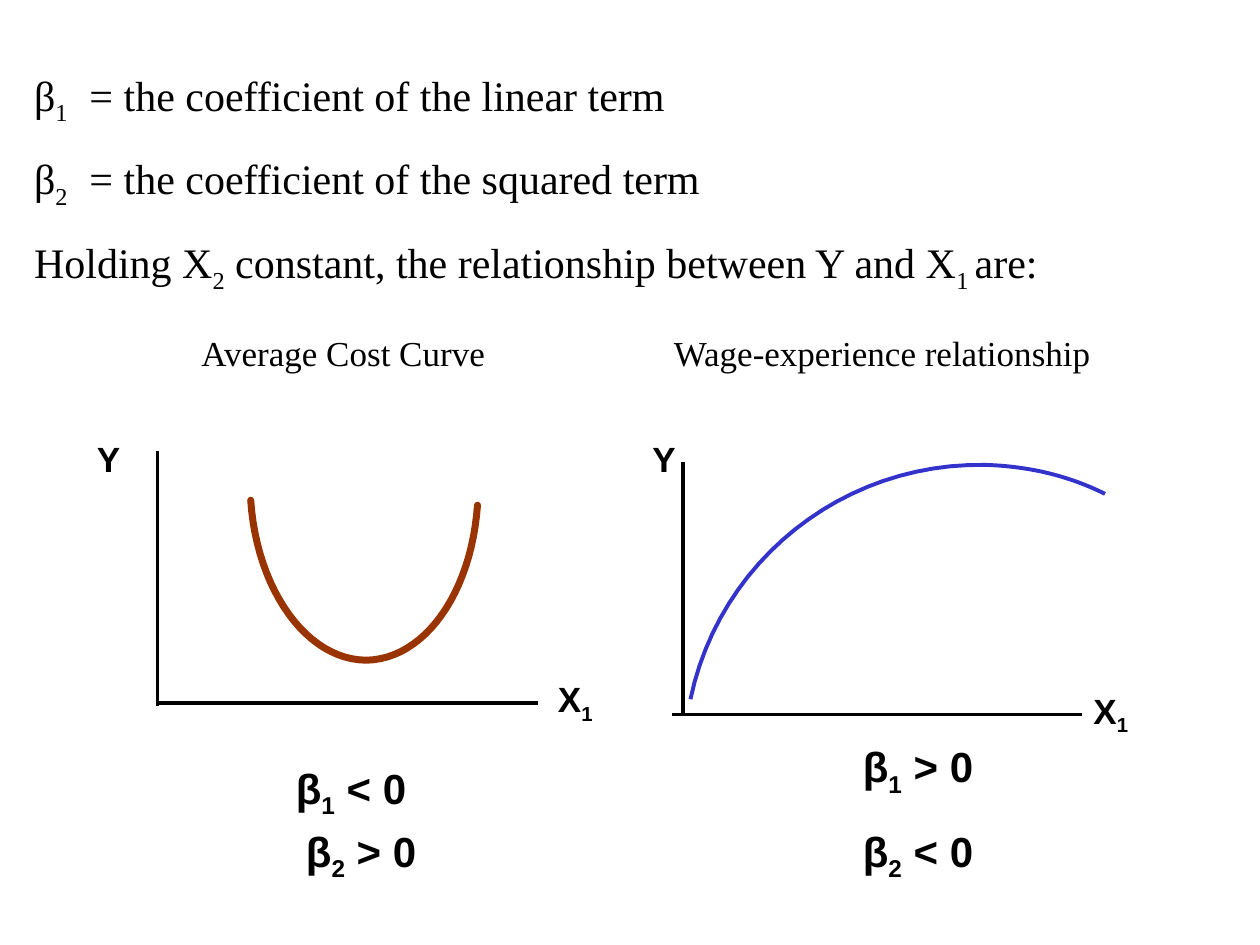
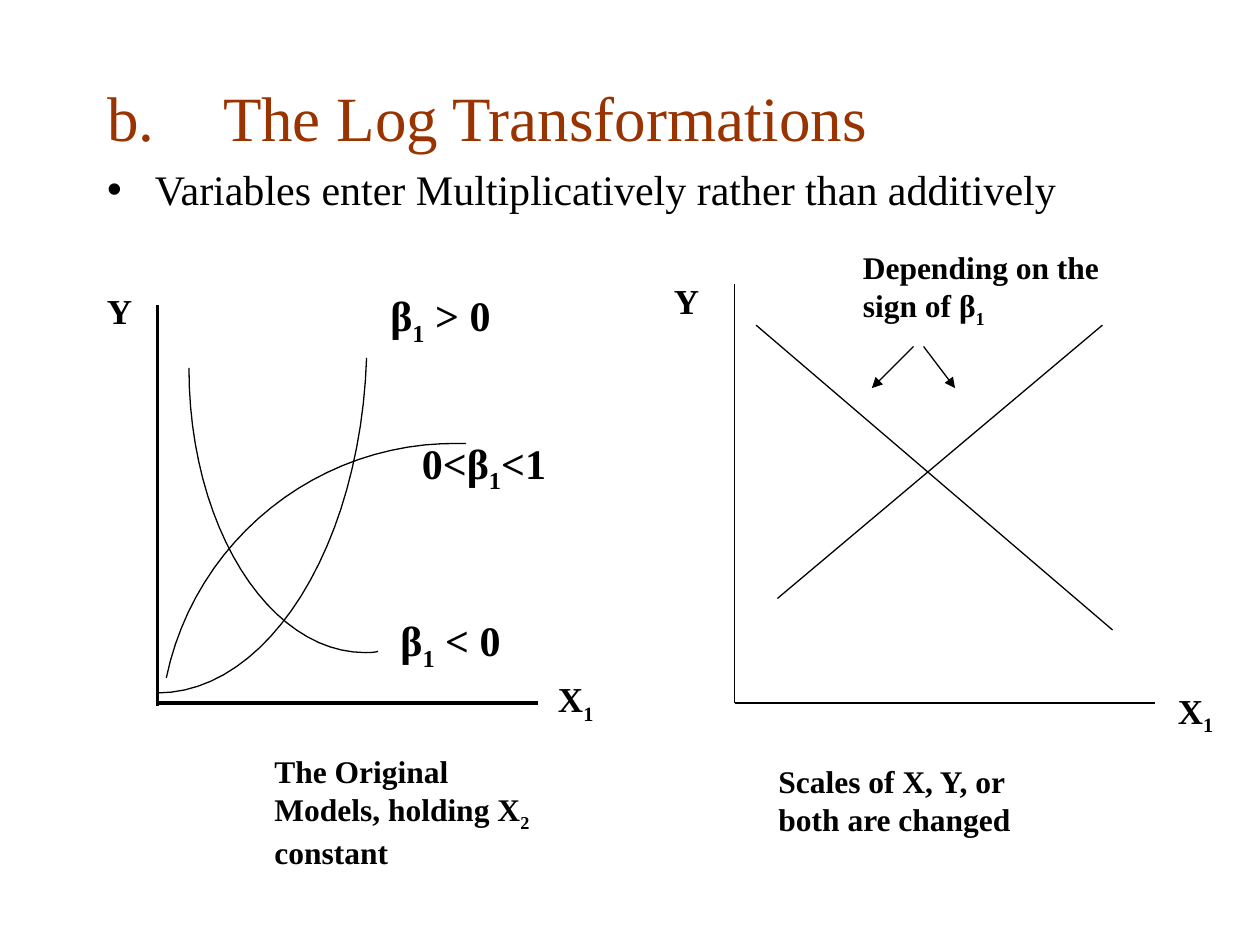
from lxml.etree import SubElement
from pptx import Presentation
from pptx.dml.color import RGBColor
from pptx.enum.shapes import MSO_CONNECTOR
from pptx.enum.text import MSO_ANCHOR, MSO_AUTO_SIZE, PP_ALIGN
from pptx.oxml.ns import qn
from pptx.util import Inches, Pt

BLACK = RGBColor(0x00, 0x00, 0x00)
RUST = RGBColor(0x99, 0x33, 0x00)
BLUE = RGBColor(0x33, 0x33, 0xCC)
SERIF, SANS = "Times New Roman", "Arial"
THIN, AXIS = 0.75, 2
CURVE_STEPS = 24

# Text between tildes is subscript.
# Labels: text, (left, top, width, height), size
# Lines: start, end, width. Curves: start, Bezier segments, colour, width.
QUADRATIC = {
    "body": ["β~1~\t= the coefficient of the linear term",
             "β~2~\t= the coefficient of the squared term",
             "Holding X~2~ constant, the relationship between Y and X~1 ~are:"],
    "headings": [("Average Cost Curve", (1.5, 2.58, 3.08, 0.44), 20),
                 ("Wage-experience relationship", (5.25, 2.58, 4.17, 0.44), 20)],
    "labels": [("Y", (0.67, 3.42, 0.41, 0.43), 20),
               ("X~1~", (4.33, 5.33, 0.5, 0.48), 20),
               ("β~1~ < 0", (2.25, 6, 1.17, 0.55), 24),
               ("β~2~ > 0", (2.33, 6.5, 1.17, 0.55), 24),
               ("Y", (5.08, 3.42, 0.41, 0.43), 20),
               ("X~1~", (8.58, 5.42, 0.58, 0.48), 20),
               ("β~1~ > 0", (6.75, 5.83, 1.5, 0.55), 24),
               ("β~2~ < 0", (6.75, 6.5, 1.5, 0.55), 24)],
    "lines": [((1.25, 3.58), (1.25, 5.6), AXIS),
              ((1.25, 5.58), (4.27, 5.58), AXIS),
              ((5.42, 3.67), (5.42, 5.67), AXIS),
              ((5.33, 5.67), (8.59, 5.67), AXIS)],
    "curves": [((3.79, 4.01), [((3.74, 4.71), (3.37, 5.23), (2.91, 5.24)),
                               ((2.44, 5.24), (2.04, 4.69), (1.99, 3.97))], RUST, 4),
               ((8.77, 3.92), [((8.47, 3.77), (8.15, 3.7), (7.82, 3.69)),
                               ((6.69, 3.67), (5.71, 4.45), (5.48, 5.55))], BLUE, 2.25)],
}

LOG = {
    "title": "b.\tThe Log Transformations",
    "body": ["Variables enter Multiplicatively rather than additively"],
    "labels": [("Y", (0.75, 2.25, 0.41, 0.43), 20),
               ("X~1~", (4.33, 5.33, 0.5, 0.48), 20),
               ("β~1~ > 0", (3, 2.25, 1.17, 0.55), 24),
               ("0<β~1~<1", (3.25, 3.42, 1.67, 0.55), 24),
               ("β~1~ < 0", (3.08, 4.83, 1.17, 0.55), 24),
               ("The Original Models, holding X~2~ constant", (2.08, 5.92, 2.33, 1.04), 18),
               ("Y", (5.25, 2.17, 0.41, 0.43), 20),
               ("X~1~", (9.25, 5.42, 0.5, 0.48), 20),
               ("Depending on the sign of β~1~", (6.75, 1.92, 2.17, 0.82), 18),
               ("Scales of X, Y, or both are changed", (6.08, 6, 2.33, 0.7), 18)],
    "lines": [((1.25, 2.42), (1.25, 5.6), AXIS),
              ((1.25, 5.58), (4.27, 5.58), AXIS),
              ((5.83, 2.25), (5.83, 5.58), THIN),
              ((5.83, 5.58), (9.17, 5.58), THIN),
              ((6, 2.58), (8.83, 5), THIN),
              ((6.17, 4.75), (8.75, 2.58), THIN)],
    "arrows": [((7.25, 2.75), (6.92, 3.08), THIN),
               ((7.33, 2.75), (7.58, 3.08), THIN)],
    "curves": [((3.7, 3.52), [((3.68, 3.52), (3.67, 3.52), (3.65, 3.52)),
                              ((2.53, 3.5), (1.55, 4.28), (1.32, 5.38))], BLACK, THIN),
               ((1.25, 5.5), [((2.13, 5.5), (2.86, 4.33), (2.91, 2.84))], BLACK, THIN),
               ((3, 5.17), [((2.97, 5.18), (2.93, 5.18), (2.9, 5.18)),
                            ((2.13, 5.18), (1.5, 4.17), (1.5, 2.92))], BLACK, THIN)],
}


def add_runs(paragraph, text, size, font=SERIF, bold=False, color=BLACK):
    """Write text run by run, lowering the parts between tildes."""
    for index, part in enumerate(text.split("~")):
        if not part:
            continue
        run = paragraph.add_run()
        run.text = part
        run.font.name, run.font.size, run.font.bold = font, Pt(size), bold
        run.font.color.rgb = color
        if index % 2:
            run._r.get_or_add_rPr().set("baseline", "-25000")


def place(shape, box):
    shape.left, shape.top, shape.width, shape.height = map(Inches, box)
    shape.text_frame.auto_size = MSO_AUTO_SIZE.NONE


def hang(paragraph, indent):
    properties = paragraph._p.get_or_add_pPr()
    properties.set("marL", str(Inches(indent)))
    properties.set("indent", str(-Inches(indent)))
    return properties


def fill_title(title, text):
    place(title, (0.75, 0.67, 8.5, 0.5))
    title.text_frame.vertical_anchor = MSO_ANCHOR.MIDDLE
    paragraph = title.text_frame.paragraphs[0]
    hang(paragraph, 0.92)
    paragraph.alignment = PP_ALIGN.LEFT
    add_runs(paragraph, text, 36, color=RUST)


def fill_body(body, items, box, indent, bulleted):
    place(body, box)
    frame = body.text_frame
    for index, item in enumerate(items):
        paragraph = frame.add_paragraph() if index else frame.paragraphs[0]
        properties = hang(paragraph, indent)
        if not bulleted:
            SubElement(properties, qn("a:buNone"))
        paragraph.space_before = Pt(15 if index else 0)
        add_runs(paragraph, item, 24)


def add_label(slide, text, box, size, font=SERIF, bold=True):
    frame = slide.shapes.add_textbox(*map(Inches, box)).text_frame
    frame.word_wrap = True
    add_runs(frame.paragraphs[0], text, size, font, bold)


def add_line(slide, start, end, width, arrow=False):
    line = slide.shapes.add_connector(MSO_CONNECTOR.STRAIGHT, *map(Inches, start + end))
    line.line.color.rgb = BLACK
    line.line.width = Pt(width)
    if arrow:
        SubElement(line.line._get_or_add_ln(), qn("a:tailEnd"), type="triangle")
    SubElement(line._element.spPr, qn("a:effectLst"))


def bezier_points(start, segments):
    """Sample a chain of cubic Bezier segments, leaving out the start."""
    points = []
    for controls in segments:
        corners = (start, *controls)
        for step in range(1, CURVE_STEPS + 1):
            t = step / CURVE_STEPS
            weights = ((1 - t) ** 3, 3 * t * (1 - t) ** 2, 3 * t ** 2 * (1 - t), t ** 3)
            points.append(tuple(Inches(sum(w * c[axis] for w, c in zip(weights, corners)))
                                for axis in (0, 1)))
        start = controls[-1]
    return points


def add_curve(slide, start, segments, color, width):
    builder = slide.shapes.build_freeform(*map(Inches, start))
    builder.add_line_segments(bezier_points(start, segments), close=False)
    curve = builder.convert_to_shape()
    curve.shadow.inherit = False
    curve.fill.background()
    curve.line.color.rgb = color
    curve.line.width = Pt(width)
    if color == RUST:
        curve.line._get_or_add_ln().set("cap", "rnd")


def add_graphs(slide, content, font):
    for line in content["lines"]:
        add_line(slide, *line)
    for arrow in content.get("arrows", []):
        add_line(slide, *arrow, arrow=True)
    for curve in content["curves"]:
        add_curve(slide, *curve)
    for label in content["labels"]:
        add_label(slide, *label, font=font)
    for heading in content.get("headings", []):
        add_label(slide, *heading, bold=False)


def main():
    deck = Presentation()
    deck.slide_width, deck.slide_height = Inches(10), Inches(7.5)
    layout = deck.slide_layouts[1]

    quadratic = deck.slides.add_slide(layout)
    title, body = quadratic.placeholders
    title._element.getparent().remove(title._element)
    fill_body(body, QUADRATIC["body"], (0.17, 0.5, 9.58, 6.17), 0.44, bulleted=False)
    add_graphs(quadratic, QUADRATIC, SANS)

    log = deck.slides.add_slide(layout)
    title, body = log.placeholders
    fill_title(title, LOG["title"])
    fill_body(body, LOG["body"], (0.75, 1.25, 8.5, 5.42), 0.38, bulleted=True)
    add_graphs(log, LOG, SERIF)

    deck.save("out.pptx")


if __name__ == "__main__":
    main()
